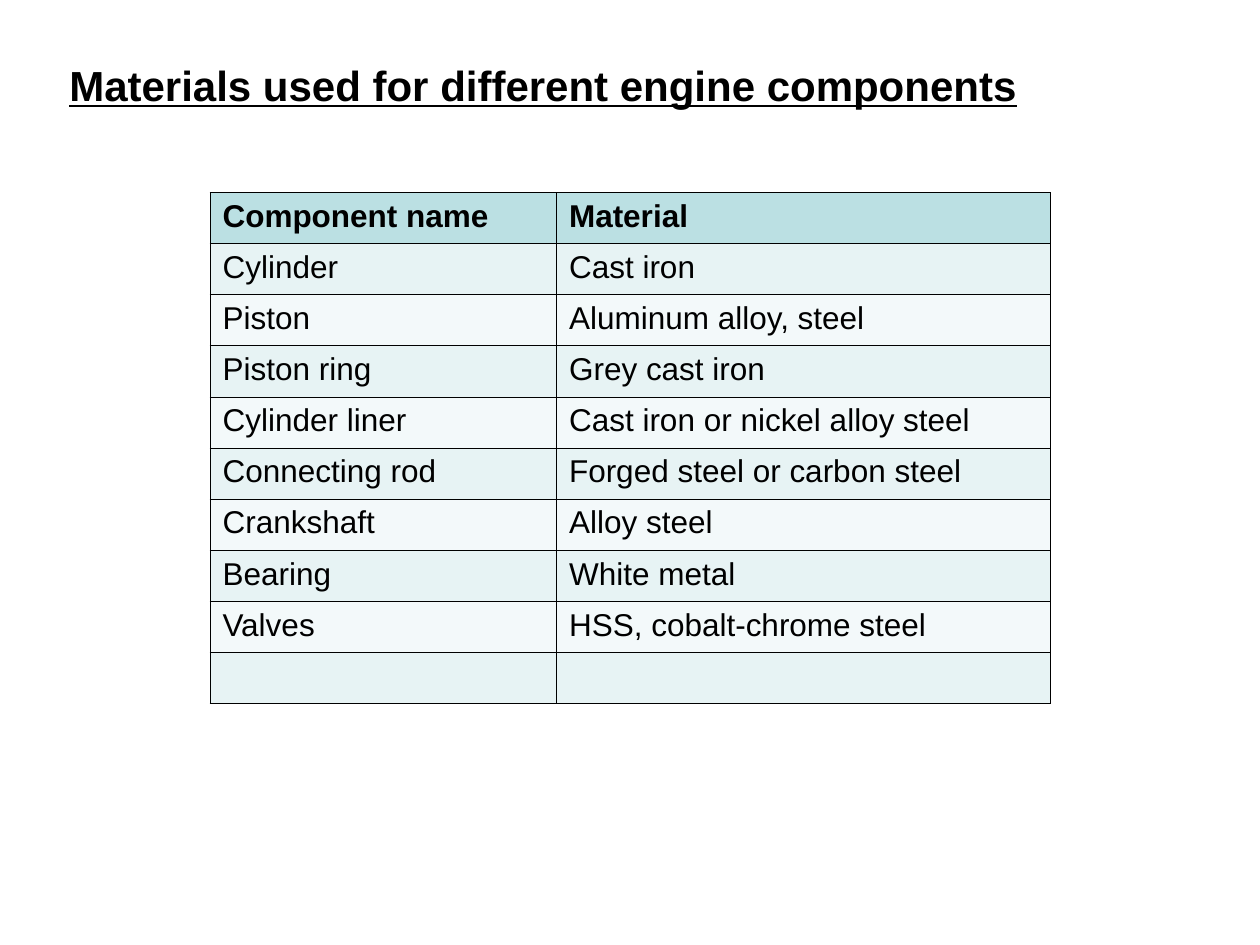
from lxml import etree
from pptx import Presentation
from pptx.dml.color import RGBColor
from pptx.enum.text import MSO_ANCHOR, MSO_AUTO_SIZE, PP_ALIGN
from pptx.oxml.ns import qn
from pptx.util import Pt

TITLE = "Materials used for different engine components"
MATERIALS = [
    ("Component name", "Material"),
    ("Cylinder", "Cast iron"),
    ("Piston", "Aluminum alloy, steel"),
    ("Piston ring", "Grey cast iron"),
    ("Cylinder liner", "Cast iron or nickel alloy steel"),
    ("Connecting rod", "Forged steel or carbon steel"),
    ("Crankshaft", "Alloy steel"),
    ("Bearing", "White metal"),
    ("Valves", "HSS, cobalt-chrome steel"),
    ("", ""),
]
COLUMN_WIDTHS = (198, 282)
ROW_HEIGHT = 29.2
BORDER_WIDTH = 0.45
FONT = "Arial"
BLACK = RGBColor(0x00, 0x00, 0x00)
HEADER_FILL = RGBColor(0xBB, 0xE0, 0xE3)
BAND_FILLS = (RGBColor(0xF3, 0xF9, 0xFA), RGBColor(0xE7, 0xF3, 0xF4))
LEFT, TOP = PP_ALIGN.LEFT, MSO_ANCHOR.TOP
NO_AUTOFIT = MSO_AUTO_SIZE.NONE


def add_text(paragraph, text, size, bold, underline=False):
    paragraph.alignment = LEFT
    run = paragraph.add_run()
    run.text = text
    font = run.font
    font.name, font.size, font.bold = FONT, Pt(size), bold
    font.underline = underline
    font.color.rgb = BLACK


def add_borders(cell):
    properties = cell._tc.get_or_add_tcPr()
    for position, side in enumerate(("lnL", "lnR", "lnT", "lnB")):
        border = etree.Element(qn(f"a:{side}"), w=str(Pt(BORDER_WIDTH)))
        fill = etree.SubElement(border, qn("a:solidFill"))
        etree.SubElement(fill, qn("a:srgbClr"), val=str(BLACK))
        properties.insert(position, border)


presentation = Presentation()
presentation.slide_width, presentation.slide_height = Pt(720), Pt(540)
slide = presentation.slides.add_slide(presentation.slide_layouts[5])

title = slide.shapes.title
title.left, title.top, title.width, title.height = Pt(32.4), Pt(30.5), Pt(556), Pt(36)
title_frame = title.text_frame
title_frame.auto_size = NO_AUTOFIT
title_frame.word_wrap = False
title_frame.vertical_anchor = TOP
add_text(title_frame.paragraphs[0], TITLE, 24, True, underline=True)

materials_table = slide.shapes.add_table(
    len(MATERIALS), len(COLUMN_WIDTHS), Pt(120), Pt(110),
    Pt(sum(COLUMN_WIDTHS)), Pt(ROW_HEIGHT * len(MATERIALS))).table
for column, width in zip(materials_table.columns, COLUMN_WIDTHS):
    column.width = Pt(width)
for row_index, entries in enumerate(MATERIALS):
    materials_table.rows[row_index].height = Pt(ROW_HEIGHT)
    is_header = row_index == 0
    for column_index, entry in enumerate(entries):
        cell = materials_table.cell(row_index, column_index)
        cell.fill.solid()
        cell.fill.fore_color.rgb = HEADER_FILL if is_header else BAND_FILLS[row_index % 2]
        add_borders(cell)
        if entry:
            add_text(cell.text_frame.paragraphs[0], entry, 18, is_header)

presentation.save("out.pptx")
